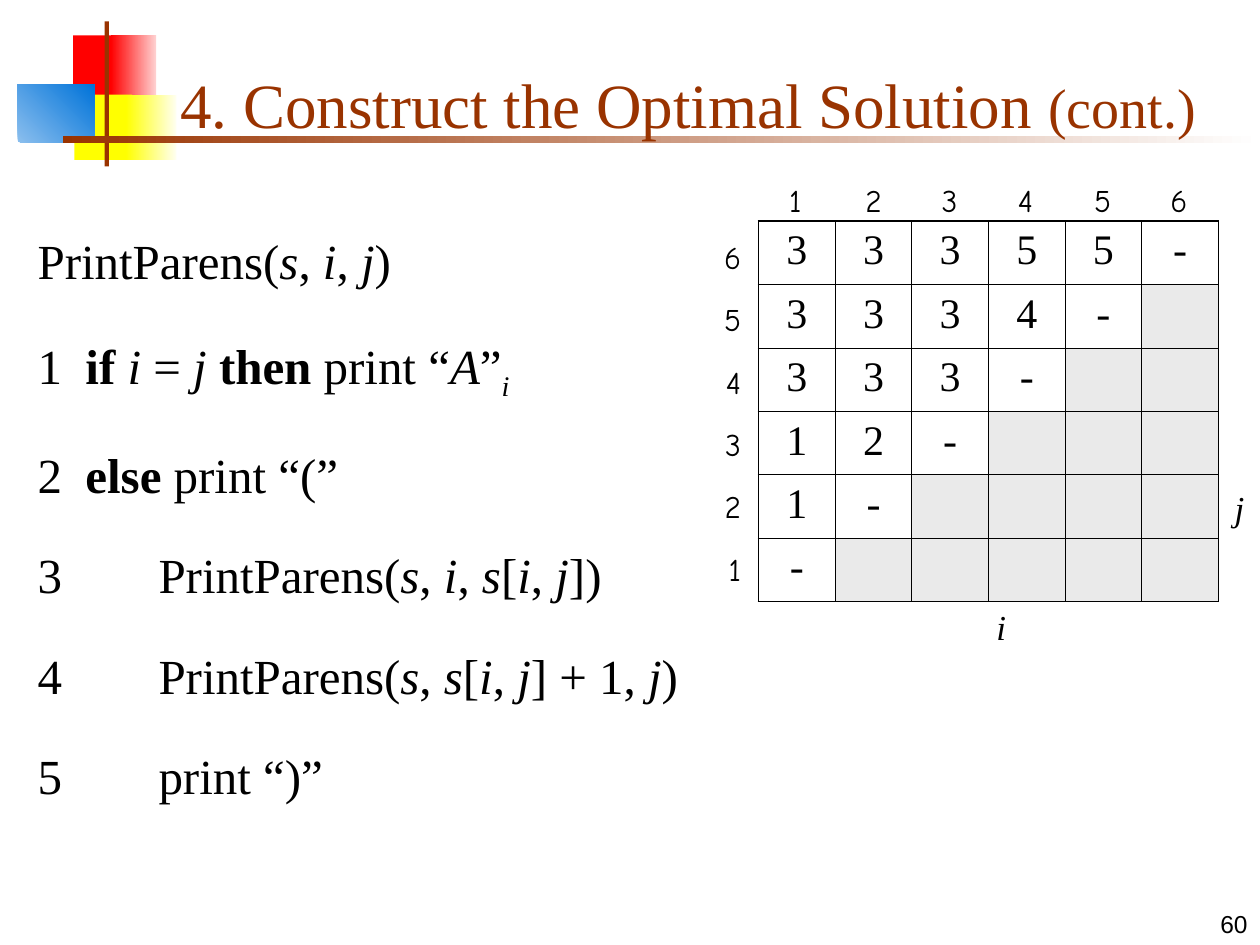
from dataclasses import dataclass
from itertools import product

from lxml.etree import SubElement
from pptx import Presentation
from pptx.dml.color import RGBColor
from pptx.enum.shapes import MSO_SHAPE
from pptx.enum.text import MSO_ANCHOR, MSO_AUTO_SIZE, PP_ALIGN
from pptx.oxml.ns import qn
from pptx.util import Inches, Pt


@dataclass(frozen=True)
class Theme:
    ink: str = "000000"
    rust: str = "993300"
    red: str = "FF0000"
    pink: str = "FFD1D1"
    yellow: str = "FFFF00"
    cream: str = "FFFFF0"
    sky: str = "8BBFEE"
    blue: str = "0073D9"
    white: str = "FFFFFF"
    shade: str = "EAEAEA"
    serif: str = "Times New Roman"
    sans: str = "Arial"
    hand: str = "Comic Neue"
    title: int = 36
    suffix: int = 32
    code: int = 28
    cell: int = 24
    axis: int = 20
    index: int = 18
    number: int = 14
    thin: float = 0.45
    thick: float = 1.08


COLS, ROWS = 100, 75
MARKS = {"*": "italic", "#": "bold", "~": "sub"}


def write(p, text, font=Theme.serif, size=Theme.index, color=Theme.ink, **fmt):
    r = p.add_run()
    r.text = text
    r.font.name = font
    r.font.size = Pt(size)
    r.font.color.rgb = RGBColor.from_string(color)
    r.font.bold = fmt.get("bold", False)
    r.font.italic = fmt.get("italic", False)
    if fmt.get("sub"):
        r._r.get_or_add_rPr().set("baseline", "-25000")


def write_marked(p, text, **fmt):
    on = dict.fromkeys(MARKS.values(), False)
    part = ""
    for ch in text + "*":
        if ch in MARKS:
            if part:
                write(p, part, **on, **fmt)
            part = ""
            on[MARKS[ch]] = not on[MARKS[ch]]
        else:
            part += ch


class Deck:
    def __init__(self, theme):
        self.t = theme
        self.prs = Presentation()
        self.prs.slide_width, self.prs.slide_height = Inches(10), Inches(7.5)
        self.s = self.prs.slides.add_slide(self.prs.slide_layouts[5])

    def place(self, col, row, w, h):
        cw, rh = self.prs.slide_width / COLS, self.prs.slide_height / ROWS
        return round(col * cw), round(row * rh), round(w * cw), round(h * rh)

    def bar(self, *box, start, end=None, angle=0):
        sp = self.s.shapes.add_shape(MSO_SHAPE.RECTANGLE, *self.place(*box))
        sp.shadow.inherit = False
        sp.line.fill.background()
        if end is None:
            sp.fill.solid()
            sp.fill.fore_color.rgb = RGBColor.from_string(start)
            return
        sp.fill.gradient()
        sp.fill.gradient_angle = angle
        for stop, color in zip(sp.fill.gradient_stops, (start, end)):
            stop.color.rgb = RGBColor.from_string(color)

    def title(self, *box, text, suffix):
        sp = self.s.shapes.title
        sp.left, sp.top, sp.width, sp.height = self.place(*box)
        self.s.shapes._spTree.append(sp._element)
        tf = sp.text_frame
        tf.auto_size = MSO_AUTO_SIZE.NONE
        tf.vertical_anchor = MSO_ANCHOR.BOTTOM
        p = tf.paragraphs[0]
        p.alignment = PP_ALIGN.LEFT
        write(p, text, size=self.t.title, color=self.t.rust)
        write(p, suffix, size=self.t.suffix, color=self.t.rust)

    def frame(self, *box, wrap=True):
        tf = self.s.shapes.add_textbox(*self.place(*box)).text_frame
        tf.word_wrap = wrap
        tf.auto_size = MSO_AUTO_SIZE.NONE if wrap else MSO_AUTO_SIZE.SHAPE_TO_FIT_TEXT
        return tf

    def label(self, *box, text, align=PP_ALIGN.LEFT, **fmt):
        p = self.frame(*box, wrap=False).paragraphs[0]
        p.alignment = align
        write(p, text, **fmt)

    def page_number(self, *box, text):
        tf = self.frame(*box)
        tf.vertical_anchor = MSO_ANCHOR.BOTTOM
        p = tf.paragraphs[0]
        p.alignment = PP_ALIGN.RIGHT
        write(p, text, font=self.t.sans, size=self.t.number)

    def code(self, *box, lines):
        tf = self.frame(*box)
        for n, (hang, text) in enumerate(lines):
            p = tf.add_paragraph() if n else tf.paragraphs[0]
            p.line_spacing = 1.5
            p.space_before = Pt(7)
            pPr = p._p.get_or_add_pPr()
            pPr.set("marL", str(Inches(hang)))
            pPr.set("indent", str(-Inches(hang)))
            write_marked(p, text, size=self.t.code)

    def borders(self, cell, outer):
        tcPr = cell._tc.get_or_add_tcPr()
        for n, (side, is_outer) in enumerate(zip("LRTB", outer)):
            width = self.t.thick if is_outer else self.t.thin
            ln = SubElement(tcPr, qn(f"a:ln{side}"), w=str(Pt(width)))
            fill = SubElement(ln, qn("a:solidFill"))
            SubElement(fill, qn("a:srgbClr"), val=self.t.ink)
            tcPr.insert(n, ln)

    def matrix(self, *box, rows):
        size = len(rows)
        last = size - 1
        frame = self.s.shapes.add_table(size, size, *self.place(*box))
        tbl = frame.table
        tbl.first_row = tbl.horz_banding = False
        for r, c in product(range(size), repeat=2):
            cell = tbl.cell(r, c)
            if c < len(rows[r]):
                cell.fill.background()
                p = cell.text_frame.paragraphs[0]
                p.alignment = PP_ALIGN.CENTER
                p.space_before = Pt(6)
                write(p, rows[r][c], size=self.t.cell)
            else:
                cell.fill.solid()
                cell.fill.fore_color.rgb = RGBColor.from_string(self.t.shade)
            self.borders(cell, (c == 0, c == last, r == 0, r == last))


def main():
    t = Theme()
    d = Deck(t)
    d.bar(5.8, 2.8, 3.5, 5.2, start=t.red)
    d.bar(8.8, 2.8, 3.6, 5.2, start=t.red, end=t.pink)
    d.bar(5.9, 7.5, 4.6, 5.2, start=t.yellow)
    d.bar(10, 7.5, 4, 5.2, start=t.yellow, end=t.cream)
    d.bar(1.4, 6.7, 6.1, 4.6, start=t.sky, end=t.blue, angle=45)
    d.bar(8.3, 1.7, 0.35, 11.5, start=t.rust)
    d.bar(5, 10.8, 95, 0.55, start=t.rust, end=t.white)
    d.page_number(79.2, 70, 20.8, 5, text="60")
    d.title(13.3, 2.5, 85.2, 9.2,
            text="4. Construct the Optimal Solution ", suffix="(cont.)")

    d.matrix(60.2, 17.55, 36.5, 30.2,
             rows=["33355-", "3334-", "333-", "12-", "1-", "-"])
    fmt = dict(font=t.hand, size=t.index)
    for n in range(6):
        d.label(61.65 + 6.05 * n, 13.9, 3.3, 4, text=str(n + 1), **fmt)
        d.label(56.5, 18.4 + 4.95 * n, 3.3, 4, text=str(6 - n),
                align=PP_ALIGN.RIGHT, **fmt)
    d.label(78.1, 47.6, 2.7, 4.4, text="i", size=t.axis, italic=True)
    d.label(97, 38.1, 2.7, 4.4, text="j", size=t.axis, italic=True)

    step, nested = 0.38, 0.96
    d.code(2, 15.5, 74.8, 55.9, lines=[
        (step, "PrintParens(*s*, *i*, *j*)"),
        (step, "1\t#if #*i* = *j *#then# print “*A*”*~i~*"),
        (step, "2\t#else# print “(”"),
        (nested, "3\tPrintParens(*s*, *i*, *s*[*i*,* j*])"),
        (nested, "4\tPrintParens(*s*, *s*[*i*, *j*] + 1, *j*)"),
        (nested, "5\tprint “)”"),
    ])
    d.prs.save("out.pptx")


if __name__ == "__main__":
    main()
